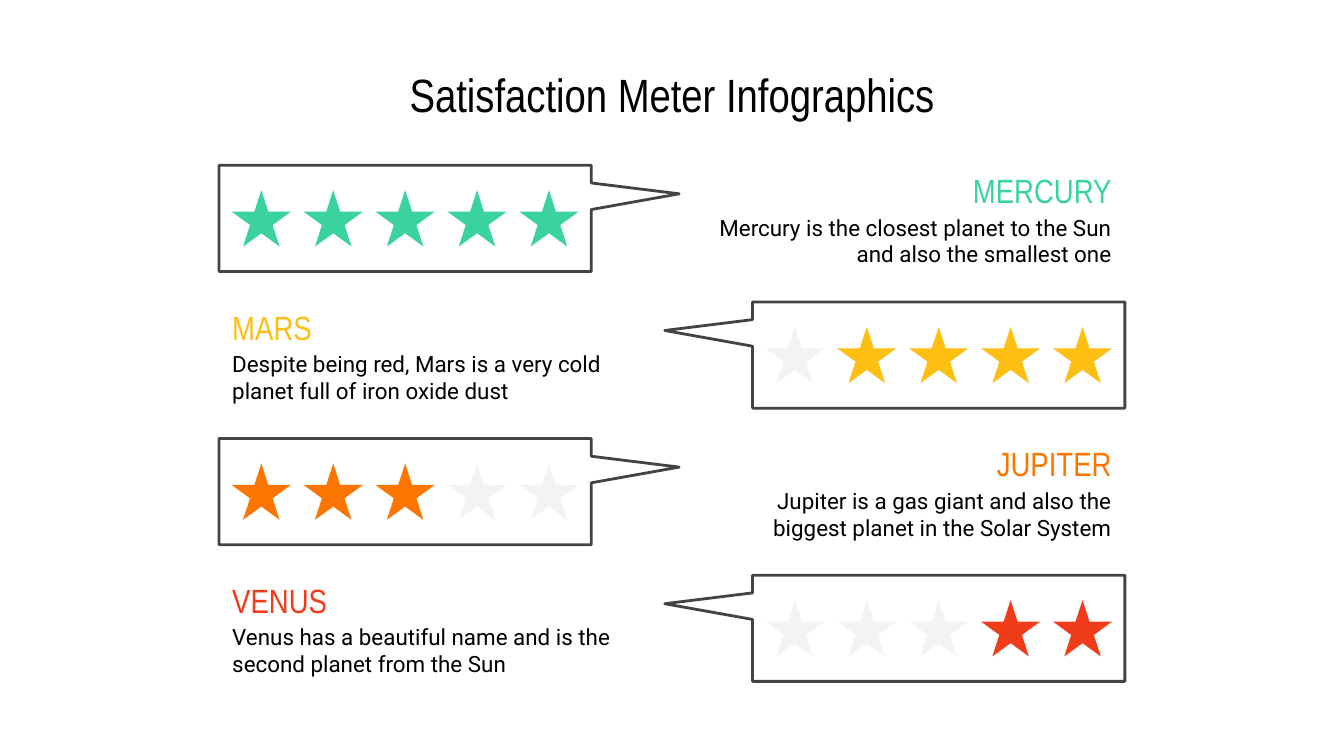
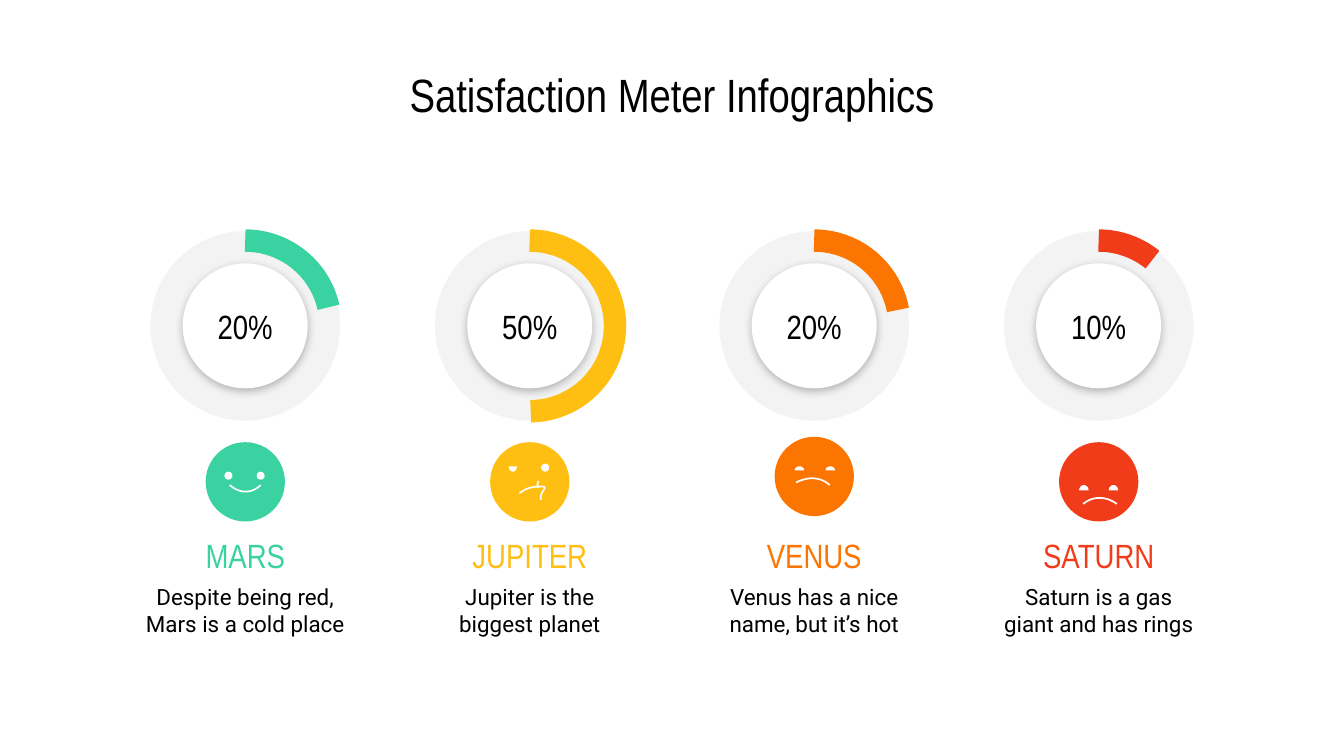
from math import cos, pi, sin

from lxml.etree import SubElement
from pptx import Presentation
from pptx.dml.color import RGBColor
from pptx.enum.shapes import MSO_SHAPE
from pptx.enum.text import MSO_ANCHOR, MSO_AUTO_SIZE, PP_ALIGN
from pptx.oxml.ns import qn
from pptx.util import Inches, Pt

GREEN = RGBColor(0x39, 0xD2, 0xA0)
YELLOW = RGBColor(0xFF, 0xBE, 0x12)
ORANGE = RGBColor(0xFC, 0x75, 0x00)
RED = RGBColor(0xF1, 0x3C, 0x19)
LIGHT_GRAY = RGBColor(0xF3, 0xF3, 0xF3)
DARK_GRAY = RGBColor(0x43, 0x43, 0x43)
WHITE = RGBColor(0xFF, 0xFF, 0xFF)
BLACK = RGBColor(0x00, 0x00, 0x00)

HEADING_FONT = "Arial Narrow"
BODY_FONT = "Roboto"
TITLE = "Satisfaction Meter Infographics"

RATINGS = [
    ("MERCURY", "Mercury is the closest planet to the Sun and also the smallest one", GREEN, 5),
    ("MARS", "Despite being red, Mars is a very cold planet full of iron oxide dust", YELLOW, 4),
    ("JUPITER", "Jupiter is a gas giant and also the biggest planet in the Solar System", ORANGE, 3),
    ("VENUS", "Venus has a beautiful name and is the second planet from the Sun", RED, 2),
]

HAPPY = {
    "top": 3.29,
    "eyes": [("round", 0.14, 0.22, 0.06, 0.06), ("round", 0.38, 0.22, 0.06, 0.06)],
    "strokes": [[(0.41, 0.32), (0.41, 0.32), (0.31, 0.43), (0.18, 0.32)]],
}
THINKING = {
    "top": 3.29,
    "eyes": [("cup", 0.14, 0.18, 0.06, 0.04), ("round", 0.38, 0.16, 0.06, 0.06)],
    "strokes": [
        [(0.22, 0.38), (0.27, 0.34), (0.32, 0.33), (0.38, 0.33)],
        [(0.38, 0.33), (0.45, 0.33), (0.36, 0.37), (0.38, 0.43)],
        [(0.36, 0.29), (0.35, 0.31), (0.35, 0.32), (0.36, 0.34)],
    ],
}
ANNOYED = {
    "top": 3.25,
    "eyes": [("dome", 0.15, 0.22, 0.07, 0.03), ("dome", 0.38, 0.22, 0.07, 0.03)],
    "strokes": [[(0.41, 0.36), (0.41, 0.36), (0.32, 0.26), (0.16, 0.34)]],
}
SAD = {
    "top": 3.29,
    "eyes": [("dome", 0.15, 0.32, 0.07, 0.04), ("dome", 0.37, 0.32, 0.07, 0.04)],
    "strokes": [[(0.18, 0.46), (0.25, 0.4), (0.35, 0.4), (0.43, 0.46)]],
}

METERS = [
    ("MARS", "Despite being red, Mars is a cold place", "20%", 347.4, GREEN, HAPPY),
    ("JUPITER", "Jupiter is the biggest planet", "50%", 89.3, YELLOW, THINKING),
    ("VENUS", "Venus has a nice name, but it’s hot", "20%", 349.2, ORANGE, ANNOYED),
    ("SATURN", "Saturn is a gas giant and has rings", "10%", 309.1, RED, SAD),
]

SLIDE_WIDTH, SLIDE_HEIGHT = 10, 5.625
MARGIN = 1.63
ROW_TOP, ROW_STEP = 1.23, 3.05 / 3
CALLOUT_WIDTH, CALLOUT_HEIGHT = 2.77, 0.79
TEXT_WIDTH = 3.14
STAR_COUNT, STAR_STEP = 5, 2.14 / 4
STAR_WIDTH, STAR_HEIGHT = 0.44, 0.42
COLUMN_STEP = 6.35 / 3
COLUMN_WIDTH = 1.69
RING_CENTER = 2.425
FACE_SIZE = 0.59


def write_text(shape, text, size=12, font=BODY_FONT, color=BLACK,
               align=PP_ALIGN.LEFT, anchor=MSO_ANCHOR.TOP):
    frame = shape.text_frame
    frame.word_wrap = True
    frame.auto_size = MSO_AUTO_SIZE.NONE
    frame.vertical_anchor = anchor
    frame.margin_left = frame.margin_right = Inches(0.1)
    frame.margin_top = frame.margin_bottom = Inches(0.1)
    paragraph = frame.paragraphs[0]
    paragraph.alignment = align
    run = paragraph.add_run()
    run.text = text
    run.font.size = Pt(size)
    run.font.name = font
    run.font.color.rgb = color


def add_text(shapes, box, text, **text_format):
    write_text(shapes.add_textbox(*map(Inches, box)), text, **text_format)


def style_shape(shape, fill=None, line=None, weight=1):
    shape.shadow.inherit = False
    if fill is None:
        shape.fill.background()
    else:
        shape.fill.solid()
        shape.fill.fore_color.rgb = fill
    if line is None:
        shape.line.fill.background()
    else:
        shape.line.color.rgb = line
        shape.line.width = Pt(weight)
    return shape


def add_preset(shapes, kind, box, **style):
    return style_shape(shapes.add_shape(kind, *map(Inches, box)), **style)


def add_outline(shapes, points, close, **style):
    points = [(Inches(x), Inches(y)) for x, y in points]
    builder = shapes.build_freeform(*points[0], scale=1.0)
    builder.add_line_segments(points[1:], close=close)
    return style_shape(builder.convert_to_shape(), **style)


def curve_points(controls, steps=16):
    def blend(t, axis):
        weights = ((1 - t) ** 3, 3 * t * (1 - t) ** 2, 3 * t ** 2 * (1 - t), t ** 3)
        return sum(weight * point[axis] for weight, point in zip(weights, controls))
    return [(blend(i / steps, 0), blend(i / steps, 1)) for i in range(steps + 1)]


def half_ellipse_points(kind, left, top, width, height, steps=16):
    base, direction = (top + height, -1) if kind == "dome" else (top, 1)
    angles = [pi * i / steps for i in range(steps + 1)]
    return [(left + width * (1 - cos(angle)) / 2, base + direction * height * sin(angle))
            for angle in angles]


def centered_square(center_x, center_y, size):
    return center_x - size / 2, center_y - size / 2, size, size


def add_soft_shadow(shape):
    effects = shape._element.spPr.find(qn("a:effectLst"))
    shadow = SubElement(effects, qn("a:outerShdw"), blurRad=str(Pt(4.5)), dist=str(Pt(1.5)),
                        dir="5400000", algn="bl", rotWithShape="0")
    color = SubElement(shadow, qn("a:srgbClr"), val=str(BLACK))
    SubElement(color, qn("a:alpha"), val="26000")


def add_titled_slide(presentation):
    slide = presentation.slides.add_slide(presentation.slide_layouts[5])
    title = slide.shapes.title
    title.left, title.top = Inches(0.5), Inches(0.45)
    title.width, title.height = Inches(SLIDE_WIDTH - 1), Inches(0.5)
    write_text(title, TITLE, size=25, font=HEADING_FONT,
               align=PP_ALIGN.CENTER, anchor=MSO_ANCHOR.MIDDLE)
    return slide


def add_rating(shapes, row, name, description, color, score):
    top = ROW_TOP + row * ROW_STEP
    callout_on_left = row % 2 == 0
    right_edge = SLIDE_WIDTH - MARGIN
    if callout_on_left:
        callout_left, text_left, align = MARGIN, right_edge - TEXT_WIDTH, PP_ALIGN.RIGHT
    else:
        callout_left, text_left, align = right_edge - CALLOUT_WIDTH, MARGIN, PP_ALIGN.LEFT

    add_text(shapes, (text_left, top + 0.03, TEXT_WIDTH, 0.31), name, size=18,
             font=HEADING_FONT, color=color, align=align, anchor=MSO_ANCHOR.MIDDLE)
    add_text(shapes, (text_left, top + 0.26, TEXT_WIDTH, 0.5), description, align=align)
    callout = add_preset(shapes, MSO_SHAPE.RECTANGULAR_CALLOUT,
                         (callout_left, top, CALLOUT_WIDTH, CALLOUT_HEIGHT),
                         line=DARK_GRAY, weight=1.5)
    callout.adjustments[0] = 0.736 if callout_on_left else -0.736
    callout.adjustments[1] = -0.231

    stars_width = (STAR_COUNT - 1) * STAR_STEP + STAR_WIDTH
    first_star = callout_left + (CALLOUT_WIDTH - stars_width) / 2
    star_top = top + (CALLOUT_HEIGHT - STAR_HEIGHT) / 2
    for index in range(STAR_COUNT):
        rank = index if callout_on_left else STAR_COUNT - 1 - index
        add_preset(shapes, MSO_SHAPE.STAR_5_POINT,
                   (first_star + index * STAR_STEP, star_top, STAR_WIDTH, STAR_HEIGHT),
                   fill=color if rank < score else LIGHT_GRAY)


def add_face(shapes, center, color, face):
    left, top = center - FACE_SIZE / 2, face["top"]
    add_preset(shapes, MSO_SHAPE.OVAL, (left, top, FACE_SIZE, FACE_SIZE), fill=color)
    for kind, x, y, width, height in face["eyes"]:
        box = (left + x, top + y, width, height)
        if kind == "round":
            add_preset(shapes, MSO_SHAPE.OVAL, box, fill=WHITE)
        else:
            add_outline(shapes, half_ellipse_points(kind, *box), True, fill=WHITE)
    for stroke in face["strokes"]:
        controls = [(left + x, top + y) for x, y in stroke]
        add_outline(shapes, curve_points(controls), False, line=WHITE, weight=0.9)


def add_meter(shapes, column, name, description, percent, end_angle, color, face):
    center = SLIDE_WIDTH / 2 + (column - (len(METERS) - 1) / 2) * COLUMN_STEP
    add_preset(shapes, MSO_SHAPE.OVAL, centered_square(center, RING_CENTER, 1.41),
               fill=LIGHT_GRAY)
    disc = add_preset(shapes, MSO_SHAPE.OVAL, centered_square(center, RING_CENTER, 0.93),
                      fill=WHITE)
    add_soft_shadow(disc)
    write_text(disc, percent, size=18, font=HEADING_FONT,
               align=PP_ALIGN.CENTER, anchor=MSO_ANCHOR.MIDDLE)
    arc = add_preset(shapes, MSO_SHAPE.ARC, centered_square(center, RING_CENTER, 1.27),
                     line=color, weight=12)
    for index, angle in enumerate((270, end_angle)):
        arc.adjustments[index] = angle * 0.6

    text_left = center - COLUMN_WIDTH / 2
    add_text(shapes, (text_left, 3.88, COLUMN_WIDTH, 0.36), name, size=18,
             font=HEADING_FONT, color=color, align=PP_ALIGN.CENTER)
    add_text(shapes, (text_left, 4.24, COLUMN_WIDTH, 0.55), description,
             align=PP_ALIGN.CENTER)
    add_face(shapes, center, color, face)


def main():
    presentation = Presentation()
    presentation.slide_width = Inches(SLIDE_WIDTH)
    presentation.slide_height = Inches(SLIDE_HEIGHT)
    for add_item, items in ((add_rating, RATINGS), (add_meter, METERS)):
        slide = add_titled_slide(presentation)
        for index, item in enumerate(items):
            add_item(slide.shapes.add_group_shape().shapes, index, *item)
    presentation.save("out.pptx")


if __name__ == "__main__":
    main()
